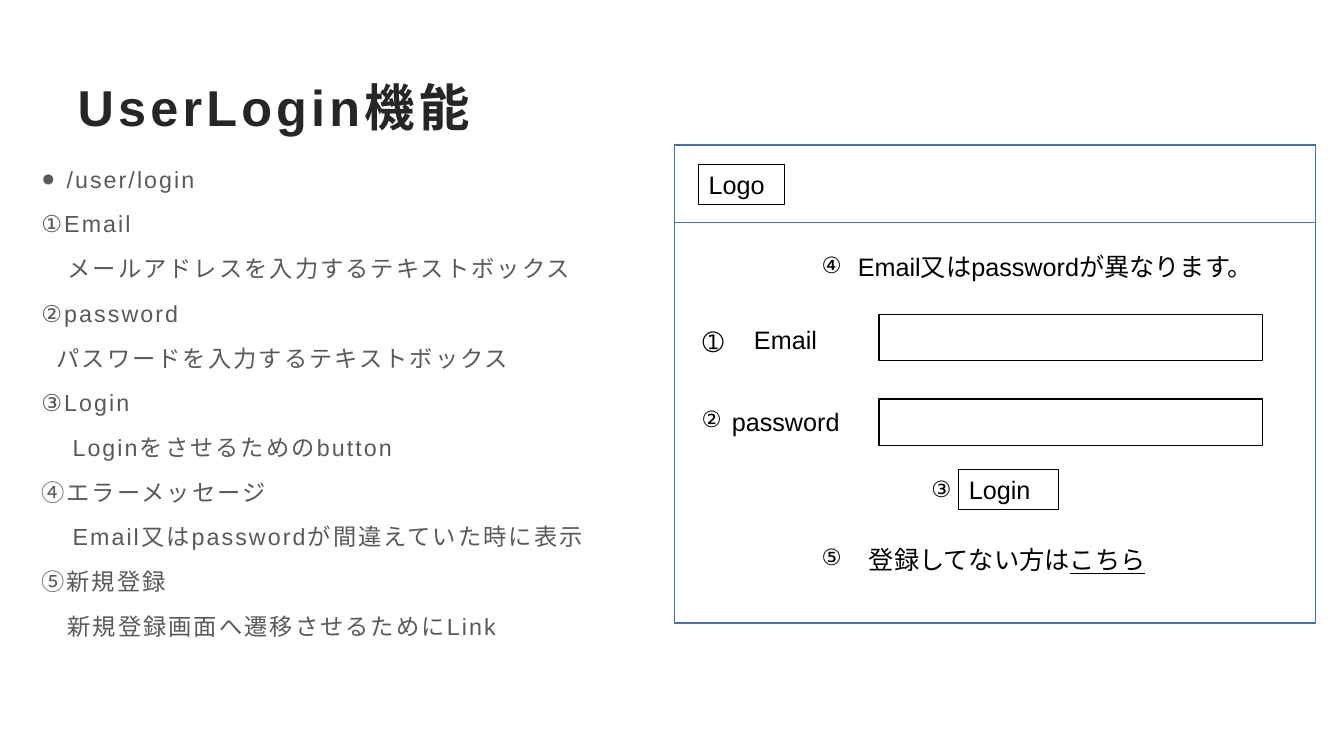
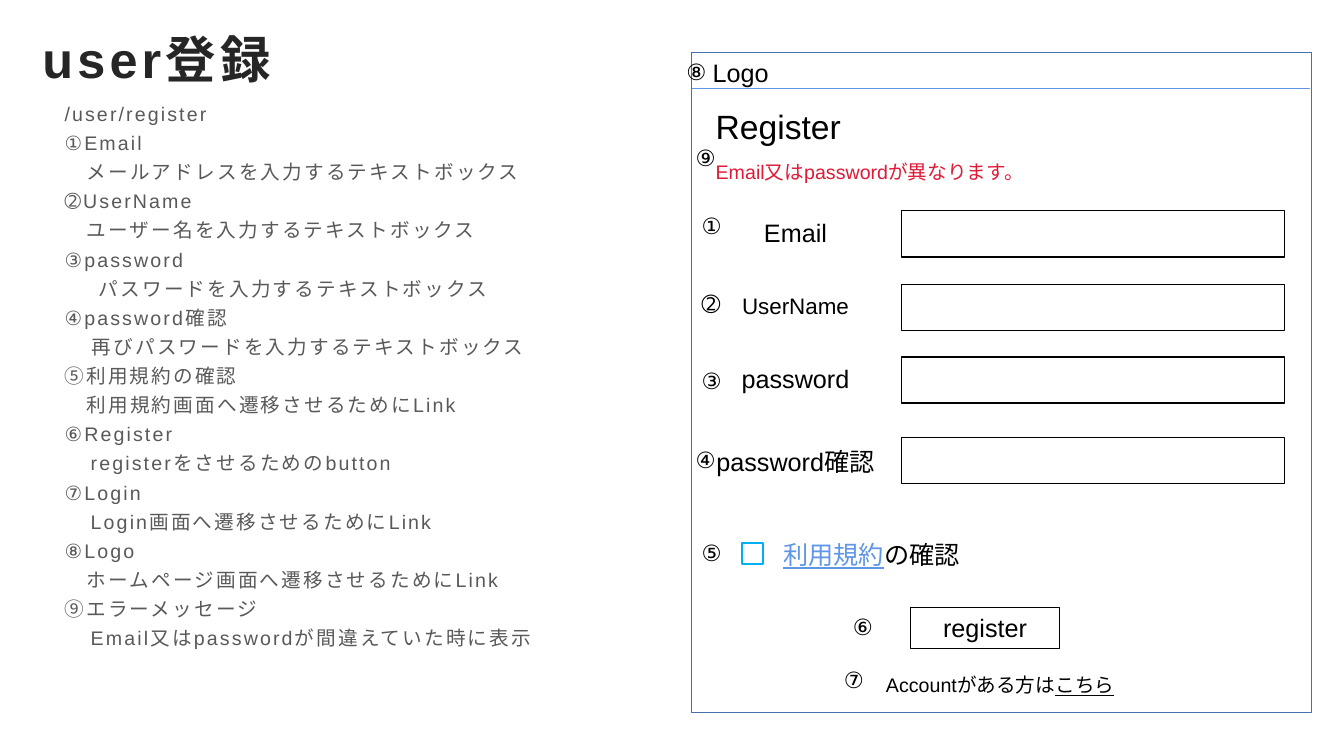
"""Build two screen specifications: user login and user registration."""
import pptx
import pptx.util
import pptx.dml.color
import pptx.enum.shapes
import pptx.enum.text
import lxml.etree

Inches = pptx.util.Inches
Pt = pptx.util.Pt
TextAlign = pptx.enum.text.PP_ALIGN
AutoSize = pptx.enum.text.MSO_AUTO_SIZE
Anchor = pptx.enum.text.MSO_ANCHOR
COLORS = {
    "title": "262626", "body": "595959", "ink": "000000", "frame": "476FAA",
    "link": "6096E6", "error": "DE1A37", "check": "00B0F0", "paper": "FFFFFF",
}
FONT = "Arial"


def rgb(name):
    """Return the named colour."""
    return pptx.dml.color.RGBColor.from_string(COLORS[name])


def write(paragraph, text, size=18, color="ink", bold=False, underline=False, spacing=0):
    """Add a formatted run to the paragraph; spacing is in points."""
    run = paragraph.add_run()
    run.text = text
    font = run.font
    font.name, font.size, font.bold, font.underline = FONT, Pt(size), bold, underline
    font.color.rgb = rgb(color)
    properties = run._r.get_or_add_rPr()
    properties.set("lang", "ja-JP")
    if spacing:
        properties.set("spc", str(round(spacing * 100)))


def add_to_properties(parent, tag, **attributes):
    """Append a DrawingML element to the parent."""
    element = lxml.etree.SubElement(parent, pptx.oxml.ns.qn(tag))
    for name, value in attributes.items():
        element.set(name, value)


class SpecificationDeck:
    """Holds the shared style and the current slide."""

    def __init__(self):
        """Start an empty widescreen presentation."""
        self.presentation = pptx.Presentation()
        self.presentation.slide_width = Inches(13.33)
        self.presentation.slide_height = Inches(7.5)
        self.slide = None

    def place(self, shape, left, top, width, height):
        """Move and size a placeholder, and fix its text frame."""
        shape.left, shape.top = Inches(left), Inches(top)
        shape.width, shape.height = Inches(width), Inches(height)
        shape.text_frame.auto_size = AutoSize.NONE
        shape.text_frame.word_wrap = True
        return shape.text_frame

    def start(self, title, left, top):
        """Add a slide with its title."""
        self.slide = self.presentation.slides.add_slide(self.presentation.slide_layouts[1])
        frame = self.place(self.slide.shapes.title, left, top, 12, 0.77)
        frame.vertical_anchor = Anchor.MIDDLE
        frame.paragraphs[0].alignment = TextAlign.LEFT
        write(frame.paragraphs[0], title, size=36, color="title", bold=True, spacing=3)

    def items(self, place, lines, size, after, line_spacing=1.0, bullet_first=False):
        """Fill the body with (text, indent) lines."""
        frame = self.place(self.slide.placeholders[1], *place)
        frame.vertical_anchor = Anchor.TOP
        for index, (text, indent) in enumerate(lines):
            paragraph = frame.add_paragraph() if index else frame.paragraphs[0]
            paragraph.alignment = TextAlign.LEFT
            paragraph.line_spacing = line_spacing
            paragraph.space_before, paragraph.space_after = Pt(0), Pt(after)
            bulleted = bullet_first and index == 0
            properties = paragraph._p.get_or_add_pPr()
            properties.set("marL", str(Inches(indent)))
            properties.set("indent", str(Inches(-indent if bulleted else 0)))
            if bulleted:
                add_to_properties(properties, "a:buFont", typeface=FONT)
                add_to_properties(properties, "a:buChar", char="●")
            else:
                add_to_properties(properties, "a:buNone")
            write(paragraph, text, size=size, color="body", spacing=1.5)

    def fill_text(self, shape, runs, centered, grow, **style):
        """Write a string, or (text, format) runs, into a shape."""
        frame = shape.text_frame
        frame.word_wrap = True
        frame.auto_size = AutoSize.SHAPE_TO_FIT_TEXT if grow else AutoSize.NONE
        frame.vertical_anchor = Anchor.TOP
        paragraph = frame.paragraphs[0]
        paragraph.alignment = TextAlign.CENTER if centered else TextAlign.LEFT
        for text, run_style in [(runs, {})] if isinstance(runs, str) else runs:
            write(paragraph, text, **{**style, **run_style})

    def label(self, left, top, width, height, runs, centered=False, grow=True, **style):
        """Add a text box."""
        shape = self.slide.shapes.add_textbox(
            Inches(left), Inches(top), Inches(width), Inches(height))
        self.fill_text(shape, runs, centered, grow, **style)

    def box(self, left, top, width, height, color="ink", weight=1, fill=None):
        """Add an outlined rectangle."""
        shape = self.slide.shapes.add_shape(
            pptx.enum.shapes.MSO_SHAPE.RECTANGLE,
            Inches(left), Inches(top), Inches(width), Inches(height))
        shape.shadow.inherit = False
        shape.line.color.rgb, shape.line.width = rgb(color), Pt(weight)
        if fill:
            shape.fill.solid()
            shape.fill.fore_color.rgb = rgb(fill)
        else:
            shape.fill.background()
        return shape

    def button(self, left, top, width, text, centered=False):
        """Add a thin box with a caption."""
        self.fill_text(self.box(left, top, width, 0.4, weight=0.75), text, centered, True)

    def field(self, left, top):
        """Add an input field."""
        self.box(left, top, 3.8, 0.46)

    def rule(self, left, top, right):
        """Add a thin horizontal line."""
        line = self.slide.shapes.add_connector(
            pptx.enum.shapes.MSO_CONNECTOR.STRAIGHT,
            Inches(left), Inches(top), Inches(right), Inches(top))
        line.line.color.rgb, line.line.width = rgb("link"), Pt(0.5)
        add_to_properties(line._element.spPr, "a:effectLst")


ERROR_TEXT = "Email又はpasswordが異なります。"
HERE_LINK = ("こちら", {"underline": True})


def build_login(deck):
    """Build the login screen."""
    deck.start("UserLogin機能", 0.67, 0.67)
    deck.items((0.31, 1.56, 6, 5.2), [
        ("/user/login", 0.25),
        ("①Email", 0),
        ("メールアドレスを入力するテキストボックス", 0.26),
        ("②password", 0),
        ("パスワードを入力するテキストボックス", 0.15),
        ("③Login", 0),
        ("Loginをさせるためのbutton", 0.31),
        ("④エラーメッセージ", 0),
        ("Email又はpasswordが間違えていた時に表示", 0.31),
        ("⑤新規登録", 0),
        ("新規登録画面へ遷移させるためにLink", 0.26),
    ], size=16.6, after=10, line_spacing=1.1, bullet_first=True)

    for height in (4.74, 0.77):
        deck.box(6.69, 1.44, 6.36, height, color="frame")
    deck.button(6.93, 1.63, 0.85, "Logo")
    deck.label(7.38, 3.17, 0.93, 0.4, "Email")
    deck.label(7.16, 3.98, 1.36, 0.4, "password")
    for top in (3.12, 3.96):
        deck.field(8.72, top)
    deck.button(9.51, 4.66, 0.99, "Login")
    deck.label(8.41, 2.44, 4.56, 0.4, ERROR_TEXT)
    deck.label(8.52, 5.35, 3.46, 0.4, [("登録してない方は", {}), HERE_LINK])
    deck.label(6.87, 3.19, 0.95, 0.4, "➀")
    for mark, left, top in [("④", 8.05, 2.44), ("②", 6.86, 3.97),
                            ("⑤", 8.05, 5.34), ("③", 9.14, 4.66)]:
        deck.label(left, top, 0.95, 0.37, mark, size=16)


def build_registration(deck):
    """Build the registration screen."""
    deck.start("user登録", 0.32, 0.19)
    deck.items((0.54, 0.96, 6.17, 6.2), [
        ("/user/register", 0),
        ("①Email", 0),
        ("メールアドレスを入力するテキストボックス", 0.22),
        ("➁UserName", 0),
        ("ユーザー名を入力するテキストボックス", 0.22),
        ("③password", 0),
        ("パスワードを入力するテキストボックス", 0.34),
        ("④password確認", 0),
        ("再びパスワードを入力するテキストボックス", 0.27),
        ("⑤利用規約の確認", 0),
        ("利用規約画面へ遷移させるためにLink", 0.22),
        ("⑥Register", 0),
        ("registerをさせるためのbutton", 0.26),
        ("⑦Login", 0),
        ("Login画面へ遷移させるためにLink", 0.26),
        ("⑧Logo", 0),
        ("ホームページ画面へ遷移させるためにLink", 0.22),
        ("⑨エラーメッセージ", 0),
        ("Email又はpasswordが間違えていた時に表示", 0.26),
    ], size=14, after=4)

    deck.box(6.86, 0.52, 6.15, 6.55, color="frame")
    deck.rule(6.86, 0.88, 12.99)
    deck.label(6.97, 0.52, 0.85, 0.37, "Logo", grow=False)
    deck.label(7, 1, 5.14, 0.5, "Register", size=24)
    deck.label(7, 1.54, 4.56, 0.34, ERROR_TEXT, size=14, color="error")
    for text, label_top, field_top, size in [
            ("Email", 2.11, 2.09, 18), ("UserName", 2.85, 2.82, 16),
            ("password", 3.56, 3.54, 18), ("password確認", 4.38, 4.34, 18)]:
        deck.label(6.97, label_top, 1.84, 0.4, text, centered=True, size=size)
        deck.field(8.94, field_top)
    deck.box(7.36, 5.39, 0.21, 0.21, color="check", weight=1.5, fill="paper")
    deck.label(7.67, 5.3, 2.84, 0.4, [
        ("利用規約", {"color": "link", "underline": True}), ("の確認", {})])
    deck.button(9.03, 6.03, 1.48, "register", centered=True)
    deck.label(8.19, 6.63, 3.46, 0.34, [("Accountがある方は", {}), HERE_LINK],
               centered=True, size=14)
    for mark, left, top in [
            ("①", 6.86, 2.06), ("➁", 6.86, 2.83), ("③", 6.86, 3.59),
            ("④", 6.8, 4.38), ("⑤", 6.86, 5.3), ("⑥", 8.36, 6.03),
            ("⑦", 8.27, 6.56), ("⑨", 6.8, 1.38), ("⑧", 6.71, 0.53)]:
        deck.label(left, top, 0.45, 0.4, mark, size=16, grow=False)


deck = SpecificationDeck()
build_login(deck)
build_registration(deck)
deck.presentation.save("out.pptx")
